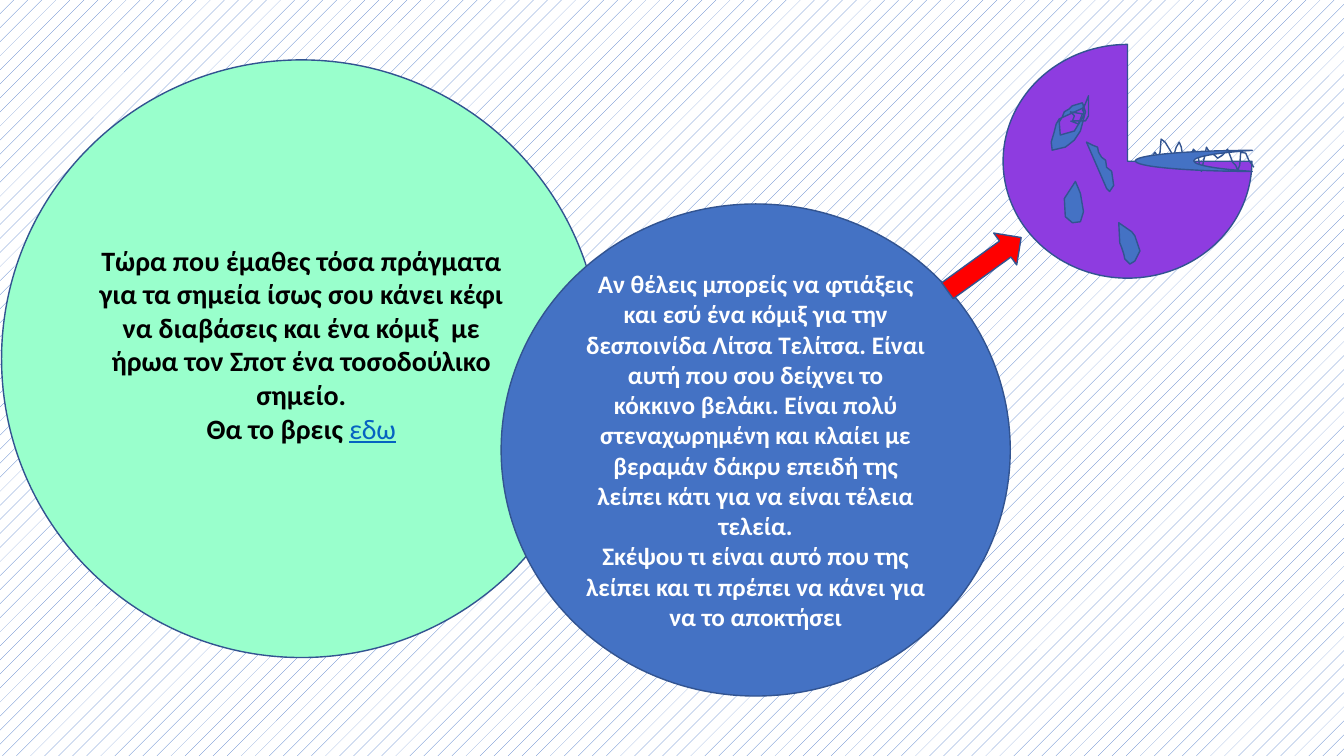
"""Build a slide with two text circles, a red arrow and a sad dot."""
import dataclasses
import typing

import pptx
import pptx.dml.color
import pptx.enum.dml
import pptx.enum.shapes
import pptx.enum.text
import pptx.util

Cm = pptx.util.Cm
RGB = pptx.dml.color.RGBColor
SHAPE = pptx.enum.shapes.MSO_SHAPE

BLUE = RGB(0x44, 0x72, 0xC4)
NAVY = RGB(0x32, 0x54, 0x91)
MINT = RGB(0x99, 0xFF, 0xCC)
PURPLE = RGB(0x8E, 0x3C, 0xE0)
RED = RGB(0xFF, 0x00, 0x00)
WHITE = RGB(0xFF, 0xFF, 0xFF)
BLACK = RGB(0x00, 0x00, 0x00)
LINK = RGB(0x05, 0x63, 0xC1)

LEFT = Cm(25.4)
UNIT = Cm(2.54) / 100


@dataclasses.dataclass
class Form:
    kind: SHAPE
    box: tuple[float, float, float, float]
    fill: RGB
    turn: float = 0
    text: str = ""
    size: int = 18
    ink: RGB = WHITE
    foot: float = 0.13
    link: str = ""


@dataclasses.dataclass
class Trace:
    dots: list[tuple[int, int]]
    fill: typing.Optional[RGB] = BLUE
    closed: bool = True


COMIC = (
    "Τώρα που έμαθες τόσα πράγματα για τα σημεία ίσως σου κάνει κέφι "
    "να διαβάσεις και ένα κόμιξ  με ήρωα τον Σποτ ένα τοσοδούλικο σημείο.\n"
    "Θα το βρεις "
)
TASK = (
    "Αν θέλεις μπορείς να φτιάξεις και εσύ ένα κόμιξ για την δεσποινίδα "
    "Λίτσα Τελίτσα. Είναι αυτή που σου δείχνει το κόκκινο βελάκι. Είναι πολύ "
    "στεναχωρημένη και κλαίει με βεραμάν δάκρυ επειδή της λείπει κάτι για να "
    "είναι τέλεια τελεία.\n"
    "Σκέψου τι είναι αυτό που της λείπει και τι πρέπει να κάνει για να το "
    "αποκτήσει"
)

EYE = Trace([
    (75, 107), (51, 118), (48, 123), (46, 131), (43, 141), (44, 149), (57, 146),
    (61, 143), (66, 139), (72, 130), (77, 111), (74, 102), (64, 105), (61, 108),
    (56, 111), (54, 116), (51, 121), (52, 134), (66, 130), (72, 120), (75, 115),
])
TEETH = Trace([
    (139, 161), (146, 151), (149, 156), (151, 151), (152, 138), (156, 141),
    (162, 151), (164, 156), (167, 146), (170, 141), (172, 146), (175, 164),
    (180, 159), (184, 148), (187, 151), (189, 156), (190, 164), (192, 170),
    (197, 146), (200, 151), (205, 154), (208, 157), (213, 154), (218, 148),
    (223, 161), (226, 164), (228, 169), (230, 164), (231, 151), (236, 152),
    (239, 159), (244, 166),
], None, False)
SLIT = Trace([
    (78, 141), (98, 187), (101, 190), (105, 184), (103, 170), (98, 166),
    (97, 159), (93, 156), (90, 151), (89, 146), (84, 144),
])
SPOT = Trace([
    (67, 180), (56, 197), (57, 215), (64, 221), (72, 220), (75, 210), (72, 192),
    (70, 187),
])
TEAR = Trace([
    (110, 221), (111, 241), (113, 246), (115, 252), (116, 257), (121, 262),
    (126, 259), (131, 249), (126, 234), (123, 230),
])
SCRAWL = Trace([
    (62, 120), (70, 123), (74, 113), (62, 111), (66, 115), (64, 120), (77, 120),
    (80, 115), (80, 95), (74, 110), (75, 105), (77, 103),
], None, False)

PARTS: list[Form | Trace] = [
    Form(SHAPE.OVAL, (0.04, 1.51, 15.11, 15.06), MINT, text=COMIC, size=20,
         ink=BLACK, foot=0.87, link="εδω"),
    Form(SHAPE.PIE, (25.28, 1.12, 6.27, 5.89), PURPLE),
    Form(SHAPE.OVAL, (12.63, 5.14, 12.83, 12.4), BLUE, text=TASK),
    EYE,
    TEETH,
    Form(SHAPE.MOON, (28.61, 3.79, 2.95, 0.53), BLUE),
    SLIT,
    SPOT,
    TEAR,
    SCRAWL,
    Form(SHAPE.DOWN_ARROW, (24.31, 5.51, 0.99, 2.29), RED, turn=234.2),
]


def paint(shape: typing.Any, fill: typing.Optional[RGB]) -> None:
    """Give a shape its fill and thin navy outline."""
    shape.shadow.inherit = False
    if fill is None:
        shape.fill.background()
    else:
        shape.fill.solid()
        shape.fill.fore_color.rgb = fill
    shape.line.color.rgb = NAVY
    shape.line.width = pptx.util.Pt(1)


def write(shape: typing.Any, form: Form) -> None:
    """Set the centred bold text and its underlined ending."""
    frame = shape.text_frame
    frame.text = form.text
    frame.word_wrap = True
    frame.vertical_anchor = pptx.enum.text.MSO_ANCHOR.MIDDLE
    frame.margin_bottom = Cm(form.foot)
    tail = None
    if form.link:
        tail = frame.paragraphs[-1].add_run()
        tail.text = form.link
    for para in frame.paragraphs:
        para.alignment = pptx.enum.text.PP_ALIGN.CENTER
        for run in para.runs:
            run.font.name = "Calibri"
            run.font.size = pptx.util.Pt(form.size)
            run.font.bold = True
            run.font.color.rgb = form.ink
    if tail is not None:
        tail.font.bold = False
        tail.font.underline = True
        tail.font.color.rgb = LINK


def place(slide: typing.Any, form: Form) -> None:
    """Draw a preset shape."""
    shape = slide.shapes.add_shape(form.kind, *map(Cm, form.box))
    shape.rotation = form.turn
    paint(shape, form.fill)
    if form.text:
        write(shape, form)


def sketch(slide: typing.Any, trace: Trace) -> None:
    """Draw a free outline."""
    first, *rest = trace.dots
    pen = slide.shapes.build_freeform(*first, scale=UNIT)
    pen.add_line_segments(rest, close=trace.closed)
    paint(pen.convert_to_shape(LEFT, 0), trace.fill)


def main() -> None:
    """Create and save the deck."""
    deck = pptx.Presentation()
    deck.slide_width, deck.slide_height = Cm(33.87), Cm(19.05)
    slide = deck.slides.add_slide(deck.slide_layouts[6])
    back = slide.background.fill
    back.patterned()
    back.pattern = pptx.enum.dml.MSO_PATTERN_TYPE.PERCENT_5
    back.fore_color.rgb = BLUE
    back.back_color.rgb = WHITE
    for part in PARTS:
        if isinstance(part, Form):
            place(slide, part)
        else:
            sketch(slide, part)
    deck.save("out.pptx")


if __name__ == "__main__":
    main()
